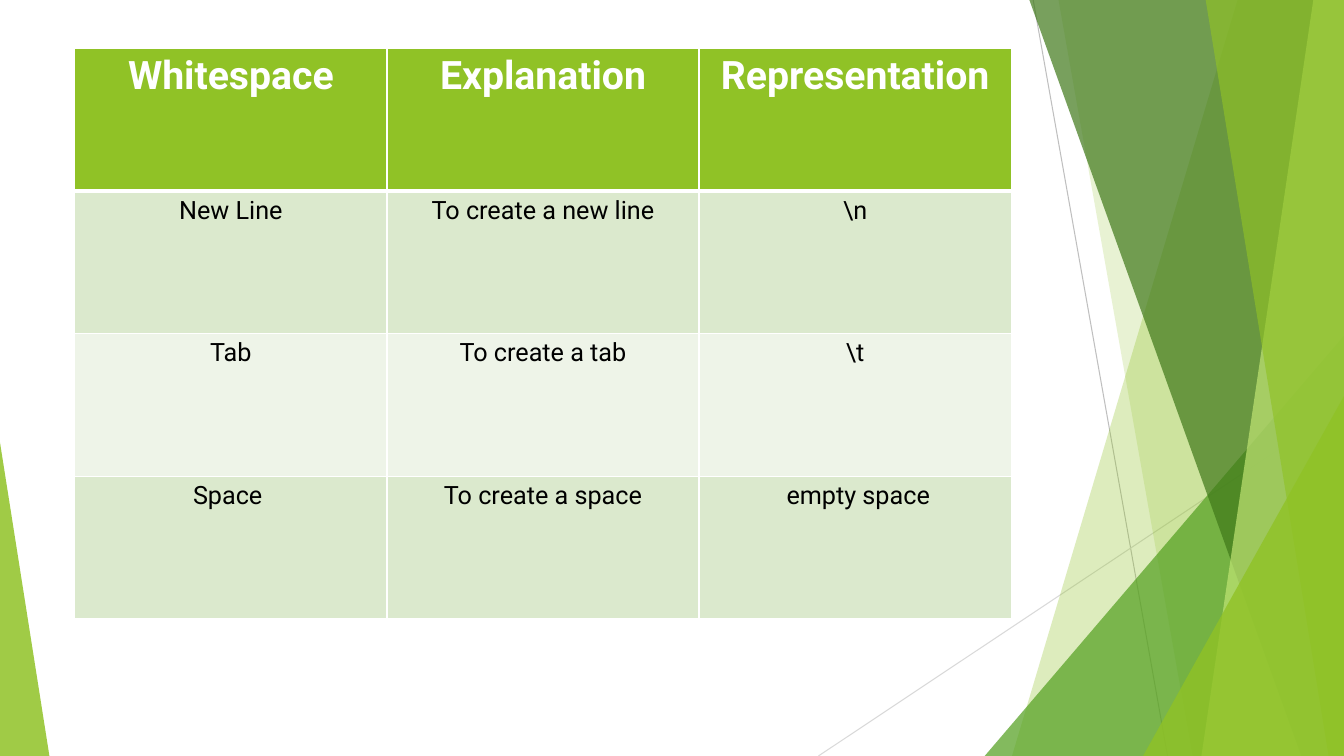
import pptx
import pptx.util
import pptx.dml.color
import pptx.enum.shapes
import pptx.enum.text
import pptx.oxml
import pptx.oxml.ns
from lxml import etree

Pt = pptx.util.Pt
RGBColor = pptx.dml.color.RGBColor

WHITE = RGBColor(0xFF, 0xFF, 0xFF)
BLACK = RGBColor(0, 0, 0)
LIME = RGBColor(0x90, 0xC2, 0x26)
PALE_LIME = RGBColor(0xC0, 0xE4, 0x74)
GREEN = RGBColor(0x54, 0xA0, 0x21)
DARK_GREEN = RGBColor(0x3F, 0x78, 0x19)
GREY = RGBColor(0xBF, 0xBF, 0xBF)
LIGHT_GREY = RGBColor(0xD9, 0xD9, 0xD9)
ROW_FILLS = [RGBColor(0xDB, 0xE9, 0xCD), RGBColor(0xEE, 0xF4, 0xE8)]

ROWS = [
    ("Whitespace", "Explanation", "Representation"),
    ("New Line", "To create a new line", "\\n"),
    ("Tab", "To create a tab", "\\t"),
    ("Space ", "To create a space", " empty space"),
]
WIDTH, HEIGHT = 960, 540
BAND_TOP = -0.6
TABLE_LEFT, TABLE_TOP = 53.4, 34.7
COLUMN_WIDTH, ROW_HEIGHT = 223, 101.8

RULES = [
    ((738, 0), (834, HEIGHT), GREY),
    ((WIDTH, 290), (584.6, HEIGHT), LIGHT_GREY),
]
# kind "band": top x, bottom x; kind "triangle": left, top, width, apex
FACETS = [
    ("band", (884.2, 722.9), LIME, 30),
    ("band", (756, 851.8), LIME, 20),
    ("triangle", (703.4, 239.8, 256.6, 1), GREEN, 72),
    ("band", (735.1, 929.5), DARK_GREEN, 70),
    ("band", (938.2, 858.2), PALE_LIME, 70),
    ("band", (861.1, 949), LIME, 65),
    ("triangle", (816.5, 283, 143.5, 1), LIME, 80),
    ("triangle", (0, 316.1, 35.3, 0), LIME, 85),
]


def add_rule(page, start, end, color):
    rule = page.shapes.add_connector(
        pptx.enum.shapes.MSO_CONNECTOR.STRAIGHT, *map(Pt, start + end))
    rule.line.color.rgb = color
    rule.line.width = Pt(0.75)
    etree.SubElement(rule._element.spPr, pptx.oxml.ns.qn("a:effectLst"))


def add_band(page, top_x, bottom_x):
    builder = page.shapes.build_freeform(Pt(top_x), Pt(BAND_TOP))
    corners = [(WIDTH, BAND_TOP), (WIDTH, HEIGHT), (bottom_x, HEIGHT)]
    builder.add_line_segments([(Pt(x), Pt(y)) for x, y in corners], close=True)
    return builder.convert_to_shape()


def add_triangle(page, left, top, width, apex):
    triangle = page.shapes.add_shape(
        pptx.enum.shapes.MSO_SHAPE.ISOSCELES_TRIANGLE,
        Pt(left), Pt(top), Pt(width), Pt(HEIGHT - top))
    triangle.adjustments[0] = apex
    return triangle


def paint(shape, color, opacity):
    shape.shadow.inherit = False
    shape.line.fill.background()
    shape.fill.solid()
    shape.fill.fore_color.rgb = color
    tint = shape._element.spPr.find(".//" + pptx.oxml.ns.qn("a:srgbClr"))
    etree.SubElement(tint, pptx.oxml.ns.qn("a:alpha"), val=str(opacity * 1000))


def set_borders(cell, widths):
    properties = cell._tc.get_or_add_tcPr()
    for side, width in widths.items():
        properties.append(pptx.oxml.parse_xml(
            f'<a:ln{side} {pptx.oxml.ns.nsdecls("a")} w="{Pt(width)}">'
            f'<a:solidFill><a:srgbClr val="{WHITE}"/></a:solidFill></a:ln{side}>'))


def write(cell, text, *, size, color, bold, font="Roboto"):
    para = cell.text_frame.paragraphs[0]
    para.alignment = pptx.enum.text.PP_ALIGN.CENTER
    span = para.add_run()
    span.text = text
    span.font.name = font
    span.font.size = Pt(size)
    span.font.bold = bold
    span.font.color.rgb = color


def add_whitespace_table(page):
    columns = len(ROWS[0])
    table = page.shapes.add_table(
        len(ROWS), columns, Pt(TABLE_LEFT), Pt(TABLE_TOP),
        Pt(COLUMN_WIDTH * columns), Pt(ROW_HEIGHT * len(ROWS))).table
    for column in table.columns:
        column.width = Pt(COLUMN_WIDTH)
    for index, texts in enumerate(ROWS):
        header = index == 0
        table.rows[index].height = Pt(ROW_HEIGHT)
        for place, text in enumerate(texts):
            cell = table.cell(index, place)
            set_borders(cell, {"L": 1, "R": 1, "T": 3 if index == 1 else 1,
                               "B": 3 if header else 1})
            cell.fill.solid()
            cell.fill.fore_color.rgb = LIME if header else ROW_FILLS[(index - 1) % 2]
            write(cell, text, size=28 if header else 18,
                  color=WHITE if header else BLACK, bold=header)


def main():
    deck = pptx.Presentation()
    deck.slide_width, deck.slide_height = Pt(WIDTH), Pt(HEIGHT)
    page = deck.slides.add_slide(deck.slide_layouts[6])
    for start, end, color in RULES:
        add_rule(page, start, end, color)
    makers = {"band": add_band, "triangle": add_triangle}
    for kind, measures, color, opacity in FACETS:
        paint(makers[kind](page, *measures), color, opacity)
    add_whitespace_table(page)
    deck.save("out.pptx")


if __name__ == "__main__":
    main()
